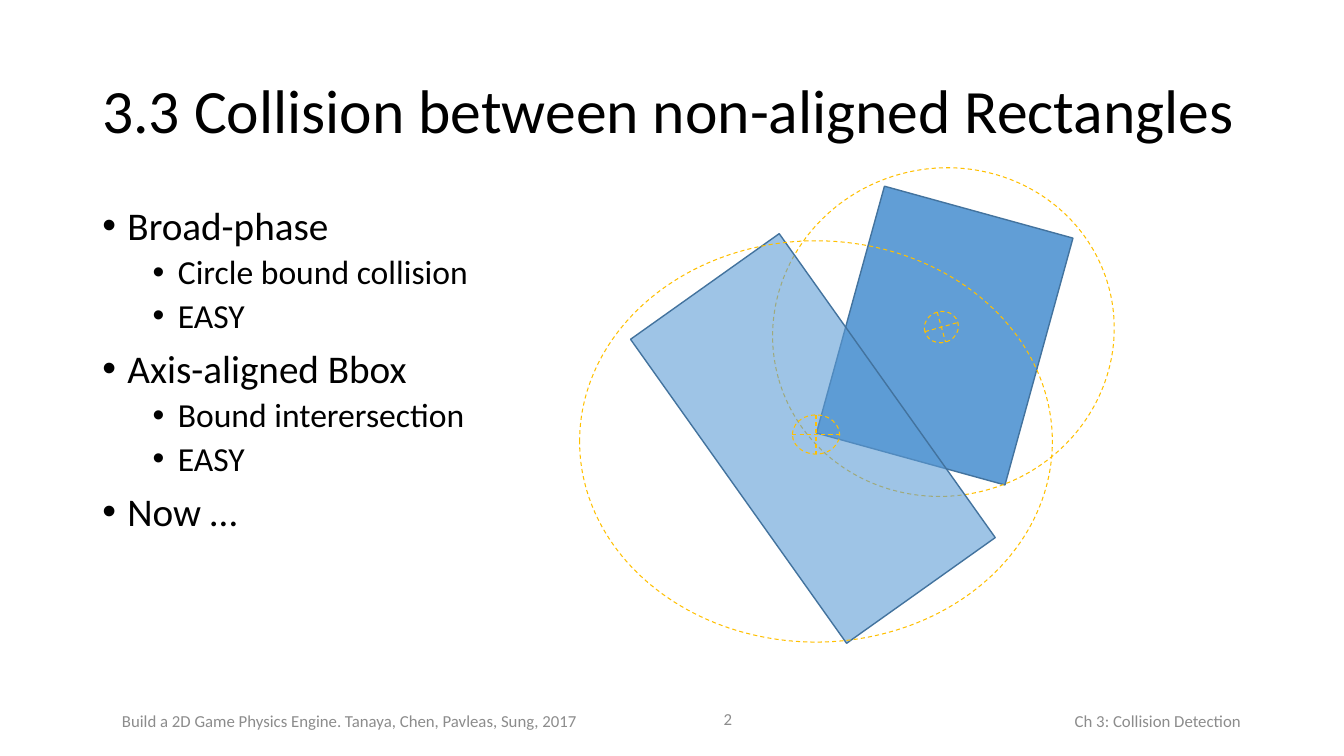
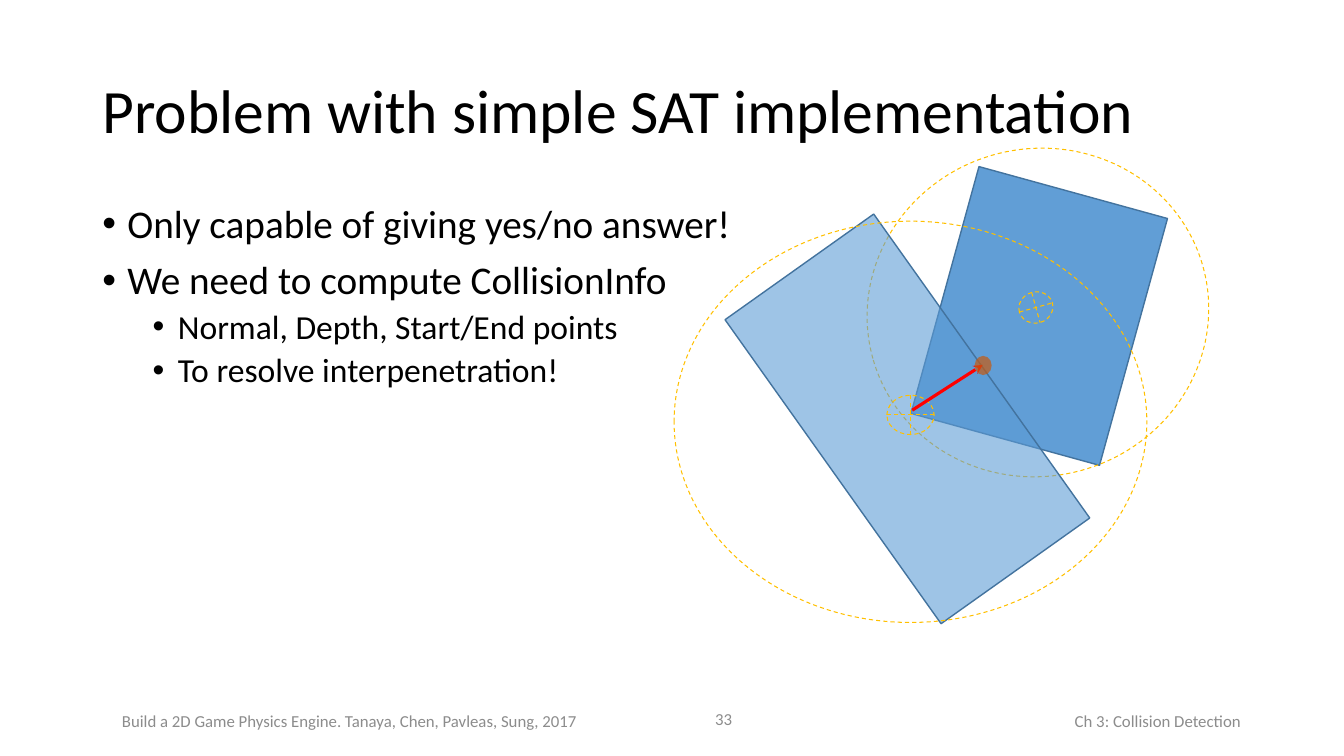
from lxml import etree
from pptx import Presentation
from pptx.dml.color import RGBColor
from pptx.enum.dml import MSO_LINE
from pptx.enum.shapes import MSO_CONNECTOR, MSO_SHAPE
from pptx.enum.text import MSO_ANCHOR, PP_ALIGN
from pptx.oxml.ns import qn
from pptx.util import Pt

RECTANGLE, ELLIPSE, CROSSHAIR = MSO_SHAPE.RECTANGLE, MSO_SHAPE.OVAL, MSO_SHAPE.FLOWCHART_OR
LEFT, RIGHT = PP_ALIGN.LEFT, PP_ALIGN.RIGHT
TOP, MIDDLE = MSO_ANCHOR.TOP, MSO_ANCHOR.MIDDLE
DASH = MSO_LINE.DASH
STRAIGHT = MSO_CONNECTOR.STRAIGHT

FONT = "Calibri"
COLORS = {
    "text": "000000",
    "footer": "8C8C8C",
    "rectangle": "5B9BD5",
    "outline": "43739E",
    "bound": "FFC000",
    "arrow": "FF0000",
    "contact": "C55A11",
}
COLORS = {name: RGBColor.from_string(value) for name, value in COLORS.items()}

LEVELS = [
    {"size": 28, "before": 10, "indent": 18},
    {"size": 24, "before": 5, "indent": 54},
]
HANGING = 18

FOOTERS = [
    ("Ch 3: Collision Detection", (547, 500.5, 346.5, 29), RIGHT),
    ("Build a 2D Game Physics Engine. Tanaya, Chen, Pavleas, Sung, 2017", (80, 500.5, 364, 29), LEFT),
]

COLLIDING_BODIES = [
    [
        (RECTANGLE, (605, 148.3, 139.7, 182.9), 15.4, 96),
        (ELLIPSE, (551.5, 120.2, 244.8, 234), 344.4, None),
        (CROSSHAIR, (660.2, 222.5, 24.5, 22.3), 344.4, None),
    ],
    [
        (RECTANGLE, (515.5, 180, 130.3, 266.4), 324.6, 59),
        (ELLIPSE, (414, 172, 337.7, 286.6), 0, None),
        (CROSSHAIR, (566, 296.4, 33.8, 28), 0, None),
    ],
]

SLIDES = [
    {
        "title": "3.3 Collision between non-aligned Rectangles",
        "number": "2",
        "body_top": 144,
        "bullets": [
            (0, "Broad-phase"),
            (1, "Circle bound collision"),
            (1, "EASY"),
            (0, "Axis-aligned Bbox"),
            (1, "Bound interersection"),
            (1, "EASY"),
            (0, "Now …"),
        ],
        "shift": (0, 0),
        "contact": False,
    },
    {
        "title": "Problem with simple SAT implementation",
        "number": "33",
        "body_top": 142.5,
        "bullets": [
            (0, "Only capable of giving yes/no answer!"),
            (0, "We need to compute CollisionInfo"),
            (1, "Normal, Depth, Start/End points"),
            (1, "To resolve interpenetration!"),
        ],
        "shift": (67.5, -14),
        "contact": True,
    },
]


def add_text(page, lines, area, size, color, align=LEFT, anchor=MIDDLE):
    box = page.shapes.add_textbox(*map(Pt, area))
    frame = box.text_frame
    frame.word_wrap = True
    frame.vertical_anchor = anchor
    for index, line in enumerate(lines):
        para = frame.paragraphs[0] if index == 0 else frame.add_paragraph()
        para.text = line
        para.alignment = align
        para.font.name = FONT
        para.font.size = Pt(size)
        para.font.color.rgb = COLORS[color]
    return frame.paragraphs


def fill_shape(shape, color, opacity):
    shape.fill.solid()
    shape.fill.fore_color.rgb = COLORS[color]
    tint = shape.fill._xPr.find(qn("a:solidFill")).find(qn("a:srgbClr"))
    etree.SubElement(tint, qn("a:alpha"), val=str(opacity * 1000))


deck = Presentation()
deck.slide_width, deck.slide_height = Pt(960), Pt(540)

for content in SLIDES:
    page = deck.slides.add_slide(deck.slide_layouts[6])

    for text, area, align in FOOTERS:
        add_text(page, [text], area, 12, "footer", align)
    add_text(page, [content["number"]], (444, 499, 86, 29), 12, "footer", RIGHT)

    title = add_text(page, [content["title"]], (66, 29, 828, 104), 44, "text")
    title[0].line_spacing = 0.9

    lines = [text for _, text in content["bullets"]]
    area = (66, content["body_top"], 828, 343)
    paragraphs = add_text(page, lines, area, 28, "text", anchor=TOP)
    for para, (number, _) in zip(paragraphs, content["bullets"]):
        level = LEVELS[number]
        para.level = number
        para.line_spacing = 0.9
        para.space_before = Pt(level["before"])
        para.font.size = Pt(level["size"])
        properties = para._p.get_or_add_pPr()
        properties.set("marL", str(Pt(level["indent"])))
        properties.set("indent", str(-Pt(HANGING)))
        bullet_font = etree.Element(qn("a:buFont"), typeface="Arial")
        bullet = etree.Element(qn("a:buChar"), char="•")
        run_defaults = properties.find(qn("a:defRPr"))
        run_defaults.addprevious(bullet_font)
        run_defaults.addprevious(bullet)

    shift_x, shift_y = content["shift"]
    for body in COLLIDING_BODIES:
        group = page.shapes.add_group_shape()
        for kind, (left, top, width, height), rotation, opacity in body:
            area = (left + shift_x, top + shift_y, width, height)
            shape = group.shapes.add_shape(kind, *map(Pt, area))
            shape.shadow.inherit = False
            shape.rotation = rotation
            if kind == RECTANGLE:
                fill_shape(shape, "rectangle", opacity)
                shape.line.color.rgb = COLORS["outline"]
                shape.line.width = Pt(1)
            else:
                shape.fill.background()
                shape.line.color.rgb = COLORS["bound"]
                shape.line.width = Pt(0.75)
                shape.line.dash_style = DASH

    if content["contact"]:
        arrow = page.shapes.add_connector(STRAIGHT, Pt(651.6), Pt(293), Pt(702), Pt(260.6))
        arrow.line.color.rgb = COLORS["arrow"]
        arrow.line.width = Pt(2.25)
        etree.SubElement(arrow.line._get_or_add_ln(), qn("a:tailEnd"), type="stealth")
        etree.SubElement(arrow._element.spPr, qn("a:effectLst"))

        contact = page.shapes.add_shape(ELLIPSE, Pt(696.2), Pt(254.2), Pt(12.2), Pt(13.7))
        contact.shadow.inherit = False
        fill_shape(contact, "contact", 70)
        contact.line.fill.background()

deck.save("out.pptx")
